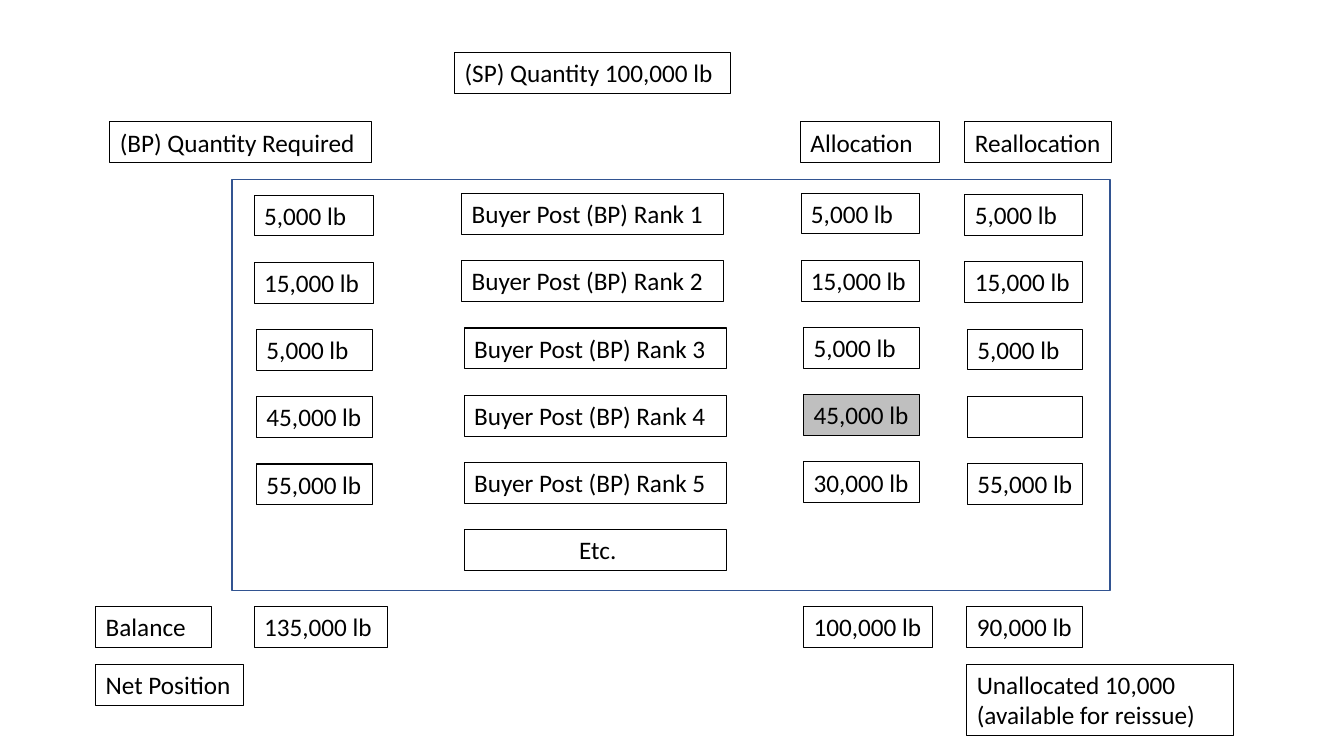
"""Build the slide on allocating a seller's quantity to ranked buyers."""
import pptx
import pptx.dml.color
import pptx.enum.shapes
import pptx.enum.text
import pptx.util

BLACK = pptx.dml.color.RGBColor(0x00, 0x00, 0x00)
GREY = pptx.dml.color.RGBColor(0xBF, 0xBF, 0xBF)
BLUE = pptx.dml.color.RGBColor(0x32, 0x54, 0x91)

SLIDE_WIDTH = pptx.util.Inches(13.33)
SLIDE_HEIGHT = pptx.util.Inches(7.5)
COLUMN = SLIDE_WIDTH / 133.3
ROW = SLIDE_HEIGHT / 75
LABEL_ROWS = 4.05
RANK_STEP = 6.67
RANK_INDENT = 0.25


def grid_box(left, top, width, height):
    """Turn grid columns and rows into slide lengths."""
    return (round(left * COLUMN), round(top * ROW),
            round(width * COLUMN), round(height * ROW))


def add_label(slide, text, left, top, width, height=LABEL_ROWS, fill=None, centred=False):
    """Add one outlined text label and return it."""
    label = slide.shapes.add_textbox(*grid_box(left, top, width, height))
    label.line.color.rgb = BLACK
    label.line.width = pptx.util.Pt(0.75)
    if fill is not None:
        label.fill.solid()
        label.fill.fore_color.rgb = fill
    frame = label.text_frame
    frame.word_wrap = True
    frame.margin_right = pptx.util.Inches(0.05)
    frame.text = text
    for paragraph in frame.paragraphs:
        if centred:
            paragraph.alignment = pptx.enum.text.PP_ALIGN.CENTER
        for run in paragraph.runs:
            run.font.name = "Calibri"
            run.font.size = pptx.util.Pt(18)
            run.font.color.rgb = BLACK
    return label


def add_headings(slide, left, top):
    """Place the seller quantity and the column headings."""
    add_label(slide, "(SP) Quantity 100,000 lb", left + 34.2, top, 27.4)
    for text, offset, width in (("(BP) Quantity Required", 0, 25.9),
                                ("Allocation", 68.5, 13.8),
                                ("Reallocation", 84.8, 14.5)):
        add_label(slide, text, left + offset, top + 6.9, width)


def add_rank_column(slide, texts, left, top, right, shaded_rank=None):
    """Stack one column of quantities, indented from the third rank on."""
    for index, text in enumerate(texts):
        start = left + (RANK_INDENT if index >= 2 else 0)
        fill = GREY if index + 1 == shaded_rank else None
        add_label(slide, text, start, top + index * RANK_STEP, right - start, fill=fill)


def add_buyer_column(slide, left, top, width):
    """Stack the ranked buyer posts and the closing label."""
    buyers = [f"Buyer Post (BP) Rank {rank}" for rank in range(1, 6)] + ["Etc."]
    for index, text in enumerate(buyers):
        start = left + (RANK_INDENT if index >= 2 else 0)
        add_label(slide, text, start, top + index * RANK_STEP, width, centred=text == "Etc.")


def add_ranking(slide, left, top, width, height):
    """Draw the blue frame with its buyer and quantity columns."""
    frame = slide.shapes.add_shape(pptx.enum.shapes.MSO_SHAPE.RECTANGLE,
                                   *grid_box(left, top, width, height))
    frame.shadow.inherit = False
    frame.fill.background()
    frame.line.color.rgb = BLUE
    frame.line.width = pptx.util.Pt(1)
    add_buyer_column(slide, left + 22.8, top + 1.4, 26)
    required = ["5,000 lb", "15,000 lb", "5,000 lb", "45,000 lb", "55,000 lb"]
    allocated = required[:4] + ["30,000 lb"]
    reallocated = required[:3] + ["", required[4]]
    add_rank_column(slide, required, left + 2.2, top + 1.55, left + 14)
    add_rank_column(slide, allocated, left + 56.45, top + 1.35, left + 68.2, shaded_rank=4)
    add_rank_column(slide, reallocated, left + 72.7, top + 1.5, left + 84.4)


def add_totals(slide, left, top):
    """Place the balance row and the net position row."""
    for text, offset, width in (("Balance", 0, 11.5), ("135,000 lb", 15.7, 13.2),
                                ("100,000 lb", 70.2, 12.8), ("90,000 lb", 86.4, 11.5)):
        add_label(slide, text, left + offset, top, width)
    net_top = top + 5.7
    add_label(slide, "Net Position", left, net_top, 14.7)
    add_label(slide, "Unallocated 10,000\n(available for reissue)",
              left + 86.4, net_top, 26.4, 7.1)


def main():
    """Build and save the presentation."""
    presentation = pptx.Presentation()
    presentation.slide_width = SLIDE_WIDTH
    presentation.slide_height = SLIDE_HEIGHT
    slide = presentation.slides.add_slide(presentation.slide_layouts[6])
    add_ranking(slide, 23, 17.8, 87.1, 40.8)
    add_headings(slide, 10.9, 5.2)
    add_totals(slide, 9.5, 60.2)
    presentation.save("out.pptx")


main()
